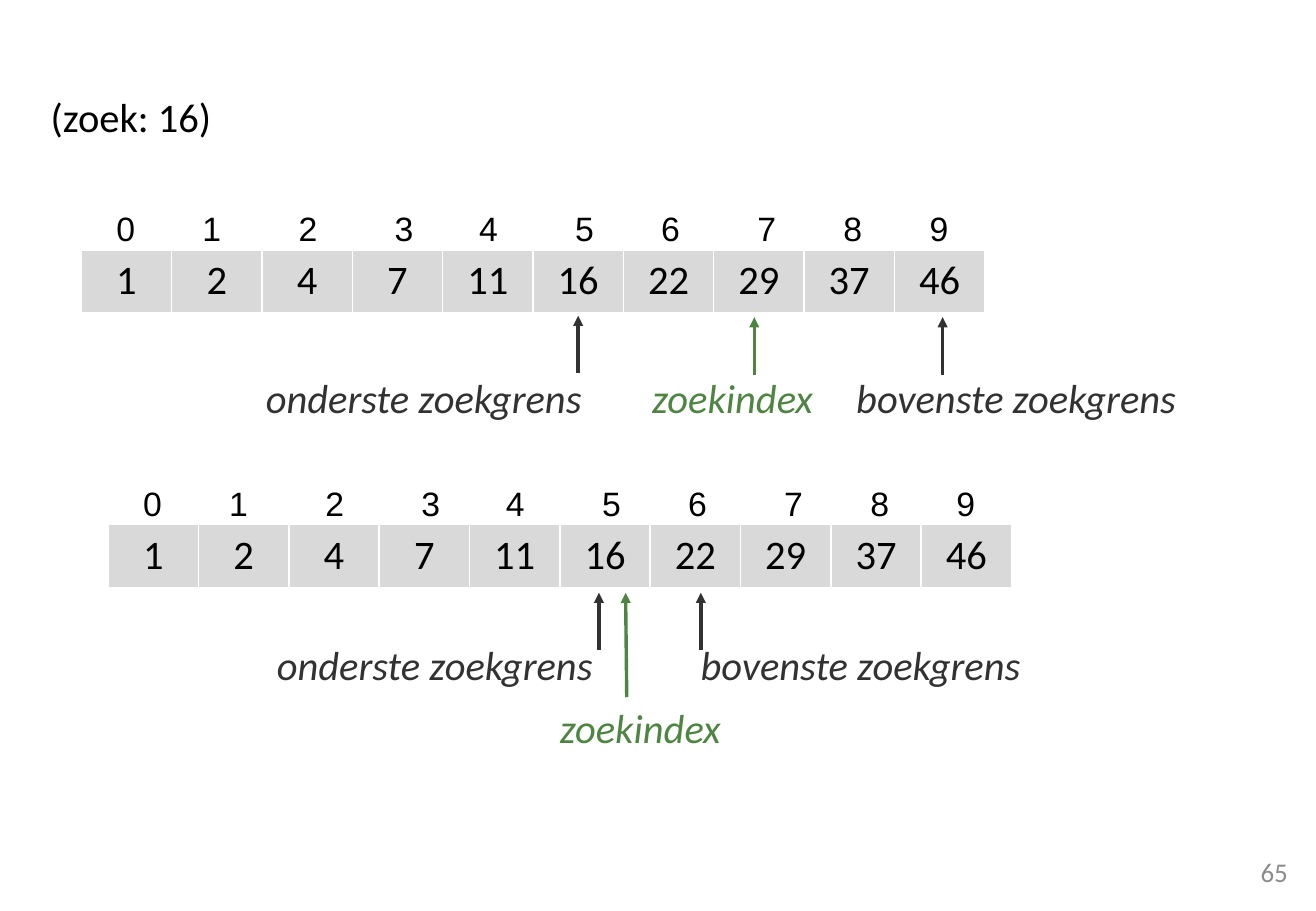
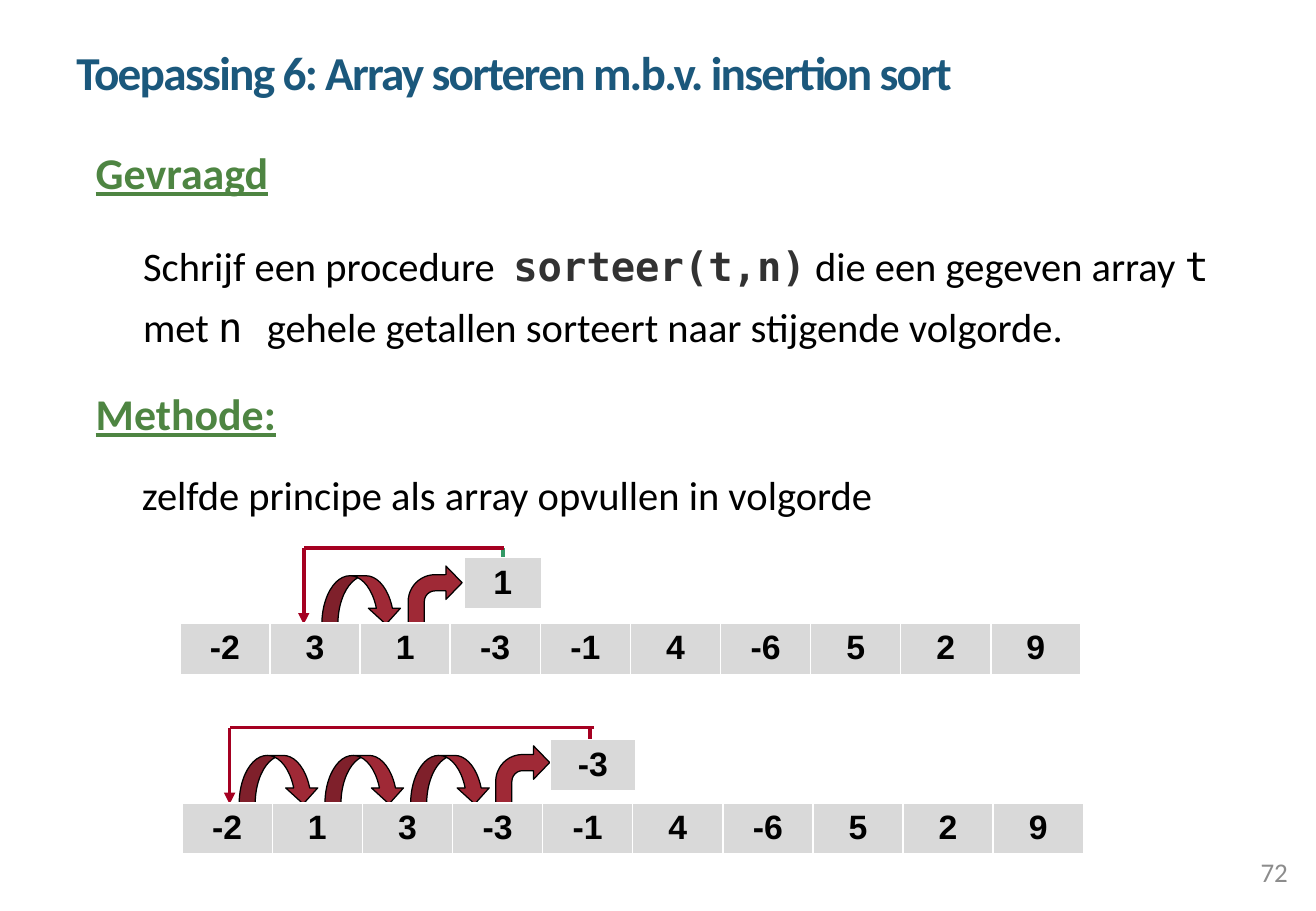
from pptx import Presentation
from pptx.dml.color import RGBColor
from pptx.enum.shapes import MSO_CONNECTOR, MSO_SHAPE
from pptx.enum.text import MSO_ANCHOR, PP_ALIGN
from pptx.oxml.ns import qn
from pptx.util import Pt
from lxml.etree import SubElement

BLACK, WHITE, GRAY, CELL = "000000", "FFFFFF", "8C8C8C", "D9D9D9"
DARK, GREEN, BLUE = "323232", "4E8542", "1B587C"
RED, CRIMSON, TEAL = "9F2936", "A50021", "339966"
SANS, ARIAL, MONO = "Calibri", "Arial", "DejaVu Sans Mono"

VALUES = [1, 2, 4, 7, 11, 16, 22, 29, 37, 46]
INDEX_OFFSETS = [0, 51, 108, 165, 215, 272, 323, 380, 431, 482]
SEARCH_ARRAYS = [(48.2, 148.3), (64.1, 311)]
LABELS = [
    ("onderste zoekgrens", DARK, 150.5, 217.4, 216),
    ("zoekindex", GREEN, 379.4, 217.4, 123),
    ("bovenste zoekgrens", DARK, 500.4, 217.4, 220),
    ("onderste zoekgrens", DARK, 157, 375.8, 216),
    ("bovenste zoekgrens", DARK, 408.2, 375.8, 220),
    ("zoekindex", GREEN, 324.7, 413.3, 123),
]
POINTERS = [
    (342.7, 221, 342.7, 187.2, DARK),
    (558.7, 222.5, 558.7, 188, DARK),
    (447.1, 222.5, 447.1, 188, GREEN),
    (355, 385.2, 355, 351.4, DARK),
    (415.4, 385.2, 415.4, 351.4, DARK),
    (371.5, 413.3, 370.8, 351.4, GREEN),
]

TITLE = "Toepassing 6: Array sorteren m.b.v. insertion sort"
HEAD = dict(size=26, color=GREEN, bold=True, underline=True)
CODE = dict(font=MONO, color=DARK, bold=True)
VAR = dict(font=MONO)
BODY = [
    (0, None, 0, [("Gevraagd", HEAD)]),
    (28.1, 36, 18, [
        ("Schrijf een procedure  ", {}), ("sorteer(t,n)", CODE),
        (" die een gegeven array ", {}), ("t", VAR), ("\n", {}),
        ("met ", {}), ("n ", VAR),
        ("gehele getallen sorteert naar stijgende volgorde.", {})]),
    (0, 35, 18, [("Methode:", HEAD)]),
    (27.4, 35, 12, [("zelfde principe als array opvullen in volgorde", {})]),
]
SORT_STEPS = [
    dict(row=[-2, 3, 1, -3, -1, 4, -6, 5, 2, 9], at=(106.6, 369.4),
         held=1, held_at=(275, 330.5, 46), hops=[190.8], lift=(241.9, 335.5),
         path=(298.8, 180, 324.7), stub=(298.1, 330.5, TEAL)),
    dict(row=[-2, 1, 3, -3, -1, 4, -6, 5, 2, 9], at=(108, 475.9),
         held=-3, held_at=(326.2, 438.5, 50.4), hops=[141.8, 192.6, 243.4],
         lift=(293.8, 442.1),
         path=(352.1, 136.1, 431.3), stub=(349.9, 442.8, CRIMSON)),
]


def rgb(value):
    return RGBColor.from_string(value)


def add_run(p, text, size=24, font=SANS, color=BLACK, bold=False,
            italic=False, underline=False):
    r = p.add_run()
    r.text = text
    f = r.font
    f.size, f.name, f.bold, f.italic, f.underline = Pt(size), font, bold, italic, underline
    f.color.rgb = rgb(color)
    return r


def add_box(s, x, y, w, h, anchor=MSO_ANCHOR.TOP):
    tf = s.shapes.add_textbox(Pt(x), Pt(y), Pt(w), Pt(h)).text_frame
    tf.word_wrap = True
    tf.vertical_anchor = anchor
    return tf


def add_text(s, text, x, y, w, h, align=PP_ALIGN.LEFT, anchor=MSO_ANCHOR.TOP, **style):
    p = add_box(s, x, y, w, h, anchor).paragraphs[0]
    p.alignment = align
    return p, add_run(p, text, **style)


def add_line(s, x1, y1, x2, y2, color, width=2.25, arrow=False):
    c = s.shapes.add_connector(MSO_CONNECTOR.STRAIGHT, Pt(x1), Pt(y1), Pt(x2), Pt(y2))
    c.line.color.rgb = rgb(color)
    c.line.width = Pt(width)
    if arrow:
        SubElement(c.line._get_or_add_ln(), qn("a:tailEnd"), type="triangle")
    SubElement(c._element.spPr, qn("a:effectLst"))


def add_arrow(s, kind, x, y, w, h, adjustments):
    sp = s.shapes.add_shape(kind, Pt(x), Pt(y), Pt(w), Pt(h))
    sp.shadow.inherit = False
    for i, value in enumerate(adjustments):
        sp.adjustments[i] = value
    sp.fill.solid()
    sp.fill.fore_color.rgb = rgb(RED)
    sp.line.color.rgb = rgb(BLACK)
    sp.line.width = Pt(0.75)


def add_array(s, values, x, y, w, h, **style):
    table = s.shapes.add_table(1, len(values), Pt(x), Pt(y), Pt(w), Pt(h)).table
    table.first_row = table.horz_banding = False
    for i, value in enumerate(values):
        table.columns[i].width = Pt(w / len(values))
        cell = table.cell(0, i)
        tc_pr = cell._tc.get_or_add_tcPr()
        for side, width in (("L", 1), ("R", 1), ("T", 1), ("B", 3)):
            ln = SubElement(tc_pr, qn("a:ln" + side), w=str(Pt(width)))
            SubElement(SubElement(ln, qn("a:solidFill")), qn("a:srgbClr"), val=WHITE)
        cell.fill.solid()
        cell.fill.fore_color.rgb = rgb(CELL)
        p = cell.text_frame.paragraphs[0]
        p.alignment = PP_ALIGN.CENTER
        add_run(p, str(value), **style)


def add_slide(prs, number):
    s = prs.slides.add_slide(prs.slide_layouts[6])
    add_text(s, number, 588.2, 502.6, 182.2, 28.8, PP_ALIGN.RIGHT,
             MSO_ANCHOR.MIDDLE, size=16, color=GRAY)
    return s


def build_search(prs):
    s = add_slide(prs, "65")
    add_text(s, "(zoek: 16)", 23, 51.1, 708.5, 40)
    for x, y in SEARCH_ARRAYS:
        for i, offset in enumerate(INDEX_OFFSETS):
            add_text(s, str(i), x - 0.7 + offset, y - 28, 54, 30,
                     PP_ALIGN.CENTER, MSO_ANCHOR.MIDDLE, size=20, font=ARIAL)
        add_array(s, VALUES, x, y, 535.7, 38.2)
    for text, color, x, y, w in LABELS:
        add_text(s, text, x, y, w, 36, color=color, italic=True)
    for x1, y1, x2, y2, color in POINTERS:
        add_line(s, x1, y1, x2, y2, color, 2, arrow=True)


def build_sort(prs):
    s = add_slide(prs, "72")
    p, r = add_text(s, TITLE, 38.2, 2.2, 708.5, 64, anchor=MSO_ANCHOR.MIDDLE,
                    size=28, color=BLUE, bold=True)
    p.line_spacing = Pt(50)
    r._r.get_or_add_rPr().set("spc", "-100")

    tf = add_box(s, 49.7, 82.8, 720, 242)
    for i, (indent, spacing, before, runs) in enumerate(BODY):
        p = tf.paragraphs[0] if i == 0 else tf.add_paragraph()
        p._p.get_or_add_pPr().set("marL", str(Pt(indent)))
        p.space_before = Pt(before)
        if spacing:
            p.line_spacing = Pt(spacing)
        for text, style in runs:
            if text == "\n":
                p.add_line_break()
            else:
                add_run(p, text, **style)

    cell_style = dict(size=20, font=ARIAL, bold=True)
    for step in SORT_STEPS:
        x, y = step["at"]
        add_arrow(s, MSO_SHAPE.BENT_ARROW, *step["lift"], 32, 34.2, (0.3, 0.31, 0.3, 0.5))
        for hop_x in reversed(step["hops"]):
            add_arrow(s, MSO_SHAPE.CURVED_DOWN_ARROW, hop_x, y - 28.1, 47.5, 28.8,
                      (0.33, 0.66, 0.33))
        start, end, top = step["path"]
        stub_x, stub_bottom, stub_color = step["stub"]
        add_line(s, stub_x, stub_bottom, stub_x, top, stub_color)
        add_line(s, start, top, end, top, CRIMSON)
        add_line(s, end, top, end, y + 0.7, CRIMSON, arrow=True)
        add_array(s, step["row"], x, y, 534.2, 31, **cell_style)
        held_x, held_y, held_w = step["held_at"]
        add_array(s, [step["held"]], held_x, held_y, held_w, 31, **cell_style)


prs = Presentation()
prs.slide_width, prs.slide_height = Pt(780), Pt(540)
build_search(prs)
build_sort(prs)
prs.save("out.pptx")
